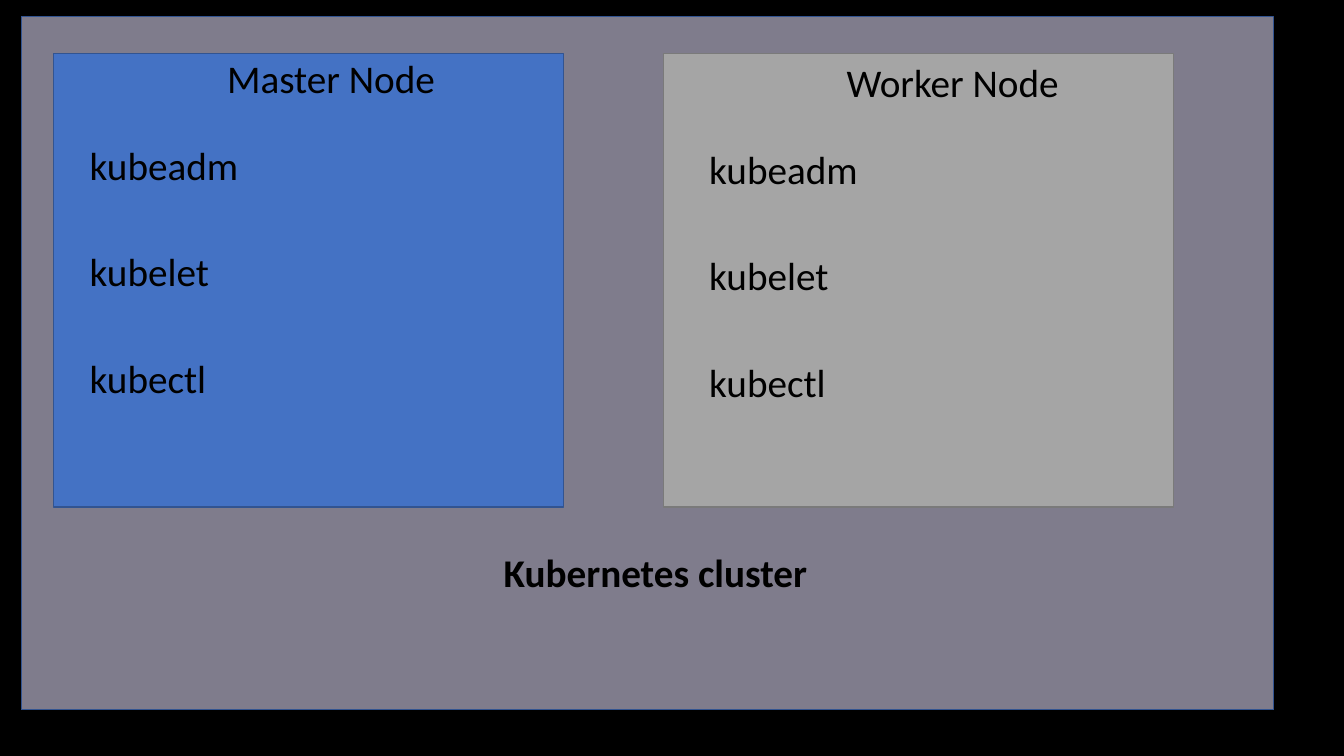
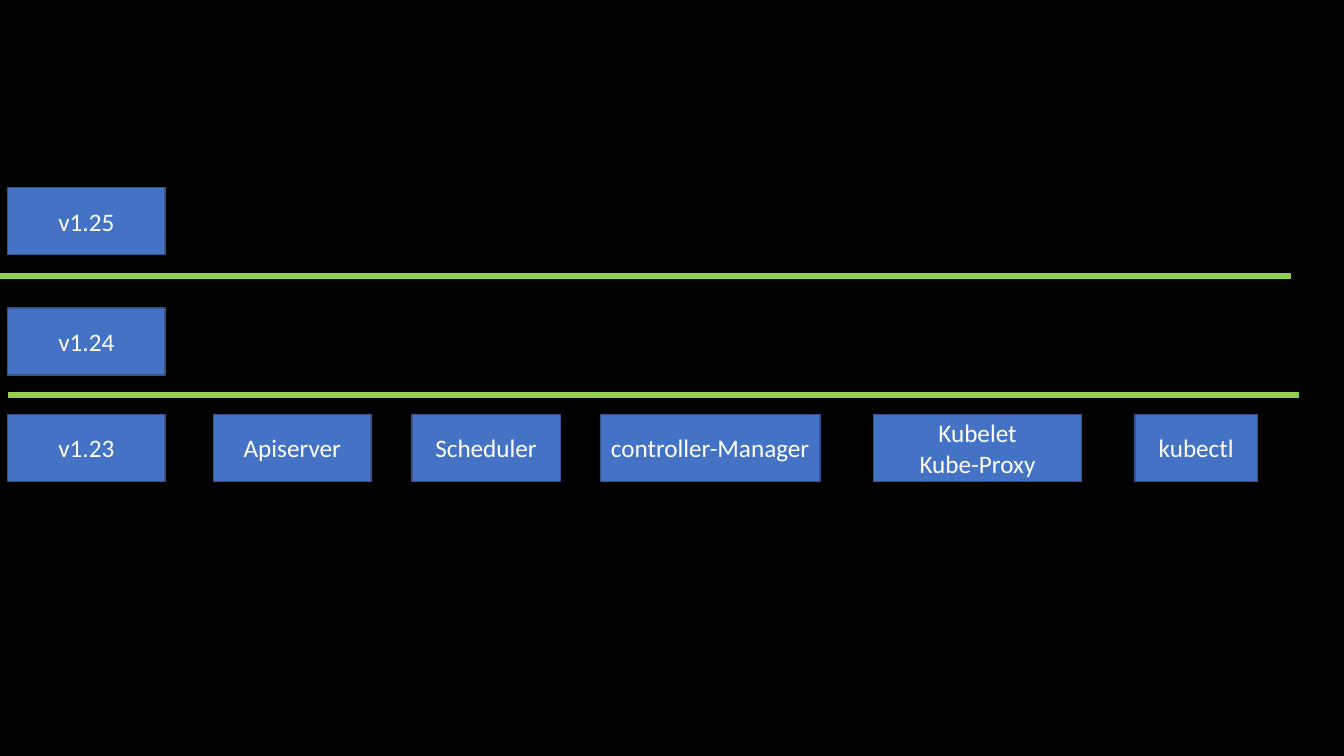
"""Build two slides on a Kubernetes cluster and its component versions."""
from lxml import etree
from pptx import Presentation
from pptx.dml.color import RGBColor
from pptx.enum import shapes, text
from pptx.oxml import ns
from pptx.util import Pt

BLACK = RGBColor(0x00, 0x00, 0x00)
WHITE = RGBColor(0xFF, 0xFF, 0xFF)
BLUE = RGBColor(0x44, 0x72, 0xC4)
DARK_BLUE = RGBColor(0x32, 0x54, 0x91)
GRAY = RGBColor(0xA5, 0xA5, 0xA5)
DARK_GRAY = RGBColor(0x7A, 0x7A, 0x7A)
MAUVE = RGBColor(0x7F, 0x7C, 0x8C)
GREEN = RGBColor(0x92, 0xD0, 0x50)
FONT = "Calibri"


def add_box(parent, left, top, width, height, fill=BLUE, line=DARK_BLUE, label=""):
    box = parent.shapes.add_shape(
        shapes.MSO_SHAPE.RECTANGLE, Pt(left), Pt(top), Pt(width), Pt(height))
    box.shadow.inherit = False
    box.fill.solid()
    box.fill.fore_color.rgb = fill
    box.line.color.rgb = line
    box.line.width = Pt(1)
    box.text_frame.text = label
    box.text_frame.vertical_anchor = text.MSO_ANCHOR.MIDDLE
    for para in box.text_frame.paragraphs:
        para.alignment = text.PP_ALIGN.CENTER
        for span in para.runs:
            span.font.name = FONT
            span.font.size = Pt(18)
            span.font.color.rgb = WHITE


def add_label(parent, left, top, width, label, bold=False):
    frame = parent.shapes.add_textbox(Pt(left), Pt(top), Pt(width), Pt(41)).text_frame
    frame.word_wrap = True
    frame.auto_size = text.MSO_AUTO_SIZE.SHAPE_TO_FIT_TEXT
    frame.text = label
    span = frame.paragraphs[0].runs[0]
    span.font.name = FONT
    span.font.size = Pt(28)
    span.font.bold = bold
    span.font.color.rgb = BLACK


deck = Presentation()
deck.slide_width, deck.slide_height = Pt(960), Pt(540)
backdrop = deck.slide_master.background.fill
backdrop.solid()
backdrop.fore_color.rgb = BLACK
blank = deck.slide_layouts[6]

page = deck.slides.add_slide(blank)
cluster = page.shapes.add_group_shape()
add_box(cluster, 15.3, 12, 894.5, 495, MAUVE)
add_label(cluster, 352.7, 388.3, 275, "Kubernetes cluster", bold=True)

nodes = [
    ("Master Node", 38.2, 57, 35, BLUE, DARK_BLUE),
    ("Worker Node", 474, 499.5, 38, GRAY, DARK_GRAY),
]
for title, left, text_left, text_top, fill, line in nodes:
    add_box(page, left, 38.2, 364.3, 324, fill, line)
    add_label(page, text_left + 98.2, text_top, 189, title)
    for row, tool in enumerate(["kubeadm", "kubelet", "kubectl"]):
        add_label(page, text_left, text_top + 62.2 + 76.1 * row, 163.5, tool)

page = deck.slides.add_slide(blank)
row_top, row_height = 296, 47.8
components = [
    ("Apiserver", 152.6, 112.6),
    ("Scheduler", 294.2, 106),
    ("controller-Manager", 428.8, 157),
    ("Kubelet\nKube-Proxy", 624, 148.5),
    ("kubectl", 810.8, 87.3),
]
for name, left, width in components:
    add_box(page, left, row_top, width, row_height, label=name)

for version, top in [("v1.23", row_top), ("v1.24", 220), ("v1.25", 134)]:
    add_box(page, 5.4, top, 112.6, row_height, label=version)

for left, top in [(5.8, 282), (0, 197)]:
    divider = page.shapes.add_connector(
        shapes.MSO_CONNECTOR.STRAIGHT, Pt(left), Pt(top), Pt(left + 922), Pt(top))
    divider.line.color.rgb = GREEN
    divider.line.width = Pt(4.5)
    etree.SubElement(divider.element.spPr, ns.qn("a:effectLst"))

deck.save("out.pptx")
